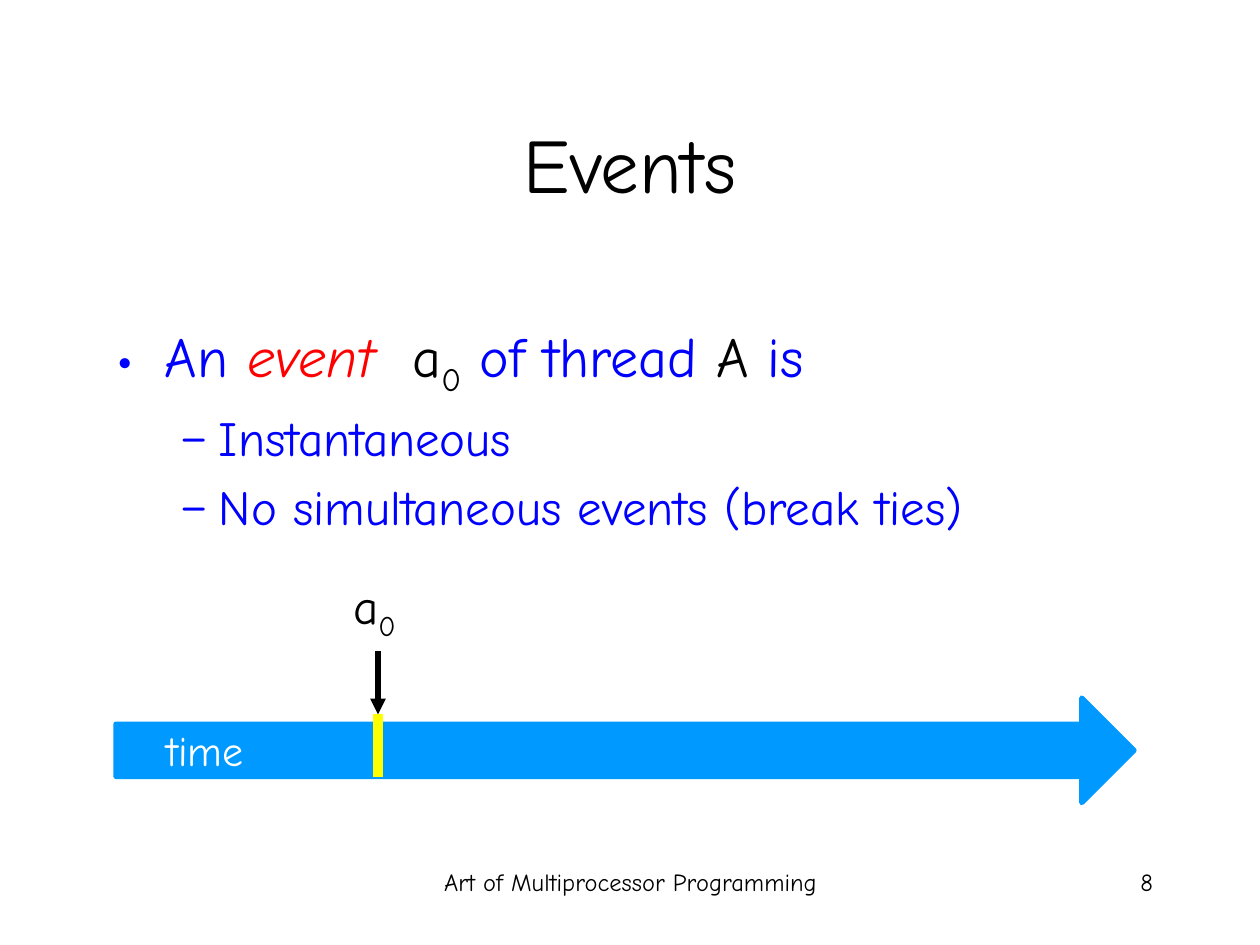
import pptx
import pptx.util
import pptx.dml.color
import pptx.enum.shapes
import pptx.enum.text
import pptx.oxml
import pptx.oxml.ns
from pptx.util import Inches, Pt

FONT = "Comic Neue"
BLACK, BLUE, RED, SKY = "000000", "0000FF", "FF0000", "0099FF"
WHITE, YELLOW = "FFFFFF", "FFFF00"
ALIGN = pptx.enum.text.PP_ALIGN
SPACE = pptx.oxml.ns.nsdecls("a")


def color(code):
    return pptx.dml.color.RGBColor.from_string(code)


def write(para, size, runs):
    """Add runs, each a text, a colour and an optional style."""
    for text, code, *style in runs:
        run = para.add_run()
        run.text = text
        look = {"name": FONT, "size": Pt(size), "italic": "italic" in style}
        for key, value in look.items():
            setattr(run.font, key, value)
        run.font.color.rgb = color(code)
        if "sub" in style:
            run._r.get_or_add_rPr().set("baseline", "-25000")


deck = pptx.Presentation()
deck.slide_width, deck.slide_height = Inches(10), Inches(7.5)
slide = deck.slides.add_slide(deck.slide_layouts[5])
shapes = slide.shapes

# Title
title = shapes.title
place = {"left": 0.75, "top": 0.67, "width": 8.5, "height": 1.25}
for key, value in place.items():
    setattr(title, key, Inches(value))
title.text_frame.vertical_anchor = pptx.enum.text.MSO_ANCHOR.MIDDLE
head = title.text_frame.paragraphs[0]
head.alignment = ALIGN.CENTER
write(head, 44, [("Events", BLACK)])

# Time arrow
arrow = shapes.add_shape(
    pptx.enum.shapes.MSO_SHAPE.RIGHT_ARROW,
    Inches(0.92), Inches(5.54), Inches(8.08), Inches(0.83))
arrow.shadow.inherit = False
arrow.fill.solid()
arrow.fill.fore_color.rgb = color(SKY)
arrow.line.color.rgb = color(SKY)
arrow.line.width = Pt(3)

# Bullet list
body = shapes.add_textbox(Inches(0.83), Inches(2.5), Inches(8.5), Inches(3.58))
frame = body.text_frame
frame.word_wrap = True
items = [
    (0, [("An ", BLUE), ("event  ", RED, "italic"), ("a", BLACK),
         ("0", BLACK, "sub"), (" of thread ", BLUE), ("A", BLACK),
         (" is", BLUE)]),
    (1, [("Instantaneous", BLUE)]),
    (1, [("No simultaneous events (break ties)", BLUE)]),
]
levels = [("•", 32, 0.38, -0.38, 0), ("–", 28, 0.81, -0.31, 5.6)]
for i, (level, runs) in enumerate(items):
    mark, size, left, hang, gap = levels[level]
    para = frame.add_paragraph() if i else frame.paragraphs[0]
    para.level = level
    props = para._p.get_or_add_pPr()
    props.set("marL", str(Inches(left)))
    props.set("indent", str(Inches(hang)))
    for xml in (f'<a:buClr {SPACE}><a:srgbClr val="{BLUE}"/></a:buClr>',
                f'<a:buFont {SPACE} typeface="{FONT}"/>',
                f'<a:buChar {SPACE} char="{mark}"/>'):
        props.append(pptx.oxml.parse_xml(xml))
    para.space_before = Pt(gap)
    write(para, size, runs)

# Event pointer and its mark on the time arrow
for top, code, width, tip in [(5.17, BLACK, 3, True), (5.67, YELLOW, 6, False)]:
    line = shapes.add_connector(
        pptx.enum.shapes.MSO_CONNECTOR.STRAIGHT,
        Inches(3), Inches(top), Inches(3), Inches(top + 0.5))
    line.line.color.rgb = color(code)
    line.line.width = Pt(width)
    if tip:
        line.line._get_or_add_ln().append(
            pptx.oxml.parse_xml(f'<a:tailEnd {SPACE} type="triangle"/>'))
    line._element.spPr.append(pptx.oxml.parse_xml(f"<a:effectLst {SPACE}/>"))

# Labels and footer
labels = [
    (1.14, 5.7, 0.89, 0.5, ALIGN.RIGHT, 24, [("time", WHITE)]),
    (2.68, 4.52, 0.56, 0.57, ALIGN.RIGHT, 28,
     [("a", BLACK), ("0", BLACK, "sub")]),
    (3.42, 6.83, 3.17, 0.5, ALIGN.CENTER, 14,
     [("Art of Multiprocessor Programming", BLACK)]),
    (7.17, 6.83, 2.08, 0.5, ALIGN.RIGHT, 14, [("8", BLACK)]),
]
for left, top, width, height, align, size, runs in labels:
    box = shapes.add_textbox(
        Inches(left), Inches(top), Inches(width), Inches(height))
    box.text_frame.word_wrap = width > 1
    para = box.text_frame.paragraphs[0]
    para.alignment = align
    write(para, size, runs)

deck.save("out.pptx")
